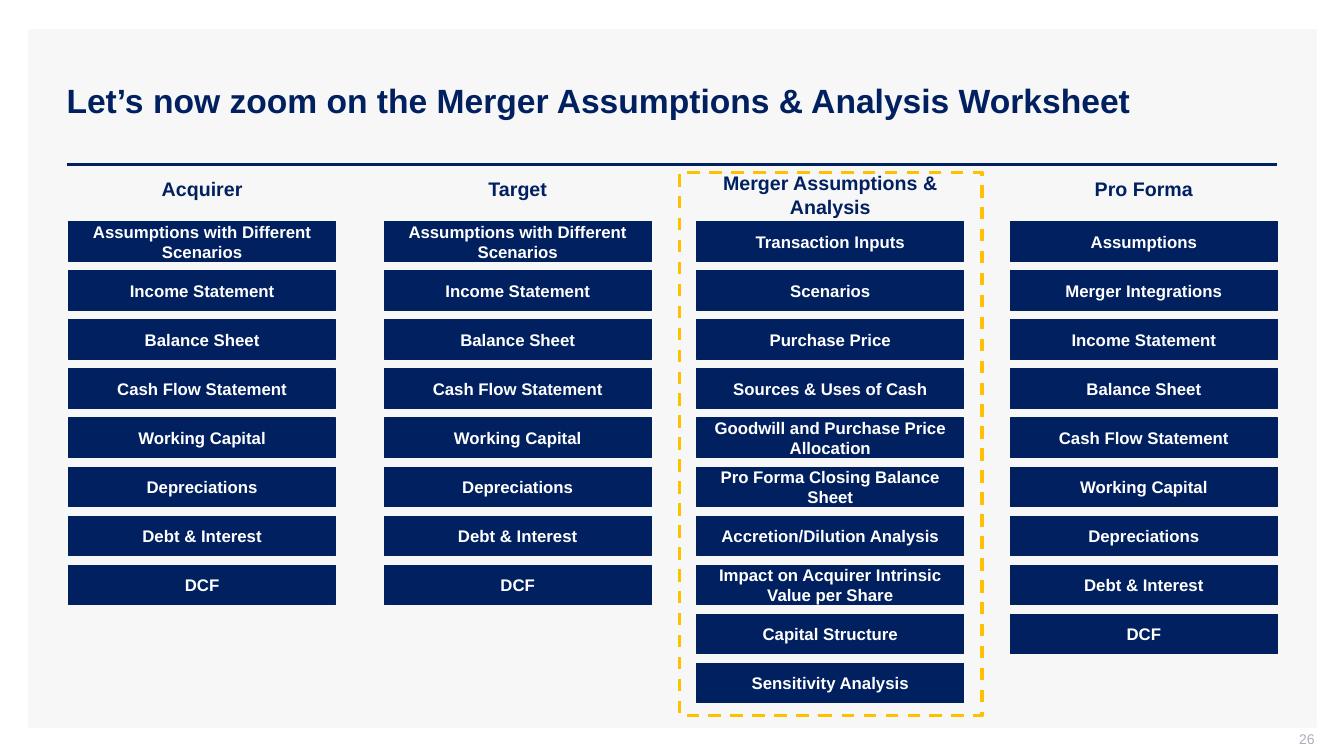
from pptx import Presentation
from pptx.dml.color import RGBColor
from pptx.enum.dml import MSO_LINE
from pptx.enum.shapes import MSO_CONNECTOR, MSO_SHAPE
from pptx.enum.text import MSO_ANCHOR, MSO_AUTO_SIZE, PP_ALIGN
from pptx.oxml.ns import qn
from pptx.util import Inches, Pt
from lxml.etree import SubElement

NAVY, WHITE, GOLD, GREY, PALE = "002060", "FFFFFF", "FFC000", "ADAFBB", "F7F7F7"
WIDE, HIGH, TOP, STEP = 2.65, 0.39, 2.2, 4.38 / 9

COMMON = ["Income Statement", "Balance Sheet", "Cash Flow Statement",
          "Working Capital", "Depreciations", "Debt & Interest", "DCF"]
MODEL = ["Assumptions with Different Scenarios"] + COMMON
MERGER = ["Transaction Inputs", "Scenarios", "Purchase Price",
          "Sources & Uses of Cash", "Goodwill and Purchase Price Allocation",
          "Pro Forma Closing Balance Sheet", "Accretion/Dilution Analysis",
          "Impact on Acquirer Intrinsic Value per Share",
          "Capital Structure", "Sensitivity Analysis"]
COLUMNS = [
    (0.68, 1.71, 0.34, "Acquirer", MODEL),
    (3.81, 1.71, 0.34, "Target", MODEL),
    (6.91, 1.65, 0.57, "Merger Assumptions & Analysis", MERGER),
    (10.02, 1.71, 0.34, "Pro Forma", ["Assumptions", "Merger Integrations"] + COMMON),
]


def color(code):
    """Turn a hex string into a colour."""
    return RGBColor.from_string(code)


def write(shape, text, size, ink, bold=True, align=PP_ALIGN.CENTER, anchor=MSO_ANCHOR.MIDDLE):
    """Put one formatted paragraph into a shape."""
    frame = shape.text_frame
    frame.text = text
    frame.word_wrap = True
    frame.auto_size = MSO_AUTO_SIZE.NONE
    frame.vertical_anchor = anchor
    para = frame.paragraphs[0]
    para.alignment = align
    font = para.runs[0].font
    font.name, font.size, font.bold = "Arial", Pt(size), bold
    font.color.rgb = color(ink)


def rect(slide, x, y, w, h, fill=None, line=None, width=0.75):
    """Draw a rectangle with optional fill and outline."""
    shape = slide.shapes.add_shape(MSO_SHAPE.RECTANGLE, Inches(x), Inches(y), Inches(w), Inches(h))
    shape.shadow.inherit = False
    if fill:
        shape.fill.solid()
        shape.fill.fore_color.rgb = color(fill)
    else:
        shape.fill.background()
    if line:
        shape.line.color.rgb = color(line)
        shape.line.width = Pt(width)
    else:
        shape.line.fill.background()
    return shape


def label(slide, x, y, w, h, text, size, ink, **style):
    """Add a text box."""
    box = slide.shapes.add_textbox(Inches(x), Inches(y), Inches(w), Inches(h))
    write(box, text, size, ink, **style)
    return box


def rule(slide, x, y, end):
    """Draw the horizontal line under the title."""
    line = slide.shapes.add_connector(
        MSO_CONNECTOR.STRAIGHT, Inches(x), Inches(y), Inches(end), Inches(y))
    line.line.color.rgb = color(NAVY)
    line.line.width = Pt(2)
    SubElement(line.element.spPr, qn("a:effectLst"))


def head(slide, text):
    """Place and format the title."""
    title = slide.shapes.title
    title.left, title.top = Inches(0.56), Inches(0.4)
    title.width, title.height = Inches(12.11), Inches(1.19)
    write(title, text, 24, NAVY, align=PP_ALIGN.LEFT)
    return title


def column(slide, x, y, h, name, items):
    """Draw a worksheet heading with its stack of sections."""
    label(slide, x, y, WIDE, h, name, 14, NAVY, anchor=MSO_ANCHOR.TOP)
    for row, item in enumerate(items):
        box = rect(slide, x, TOP + row * STEP, WIDE, HIGH, NAVY, NAVY)
        write(box, item, 12, WHITE)


def number(slide, text):
    """Add the page number."""
    box = label(slide, 10.04, 7.25, 3, 0.21, text, 10, GREY, bold=False, align=PP_ALIGN.RIGHT)
    frame = box.text_frame
    frame.margin_top = frame.margin_right = 0
    frame.margin_bottom = Inches(0.05)


def main():
    """Build the slide and save it."""
    deck = Presentation()
    deck.slide_width, deck.slide_height = Inches(13.33), Inches(7.5)
    slide = deck.slides.add_slide(deck.slide_layouts[5])
    title = head(slide, "Let’s now zoom on the Merger Assumptions & Analysis Worksheet")
    panel = rect(slide, 0.28, 0.29, 12.78, 6.93, PALE)
    title.element.addprevious(panel.element)
    rule(slide, 0.66, 1.63, 12.67)
    number(slide, "26")
    for entry in COLUMNS:
        column(slide, *entry)
    focus = rect(slide, 6.74, 1.71, 3, 5.39, line=GOLD, width=2.25)
    focus.line.dash_style = MSO_LINE.DASH
    deck.save("out.pptx")


if __name__ == "__main__":
    main()
